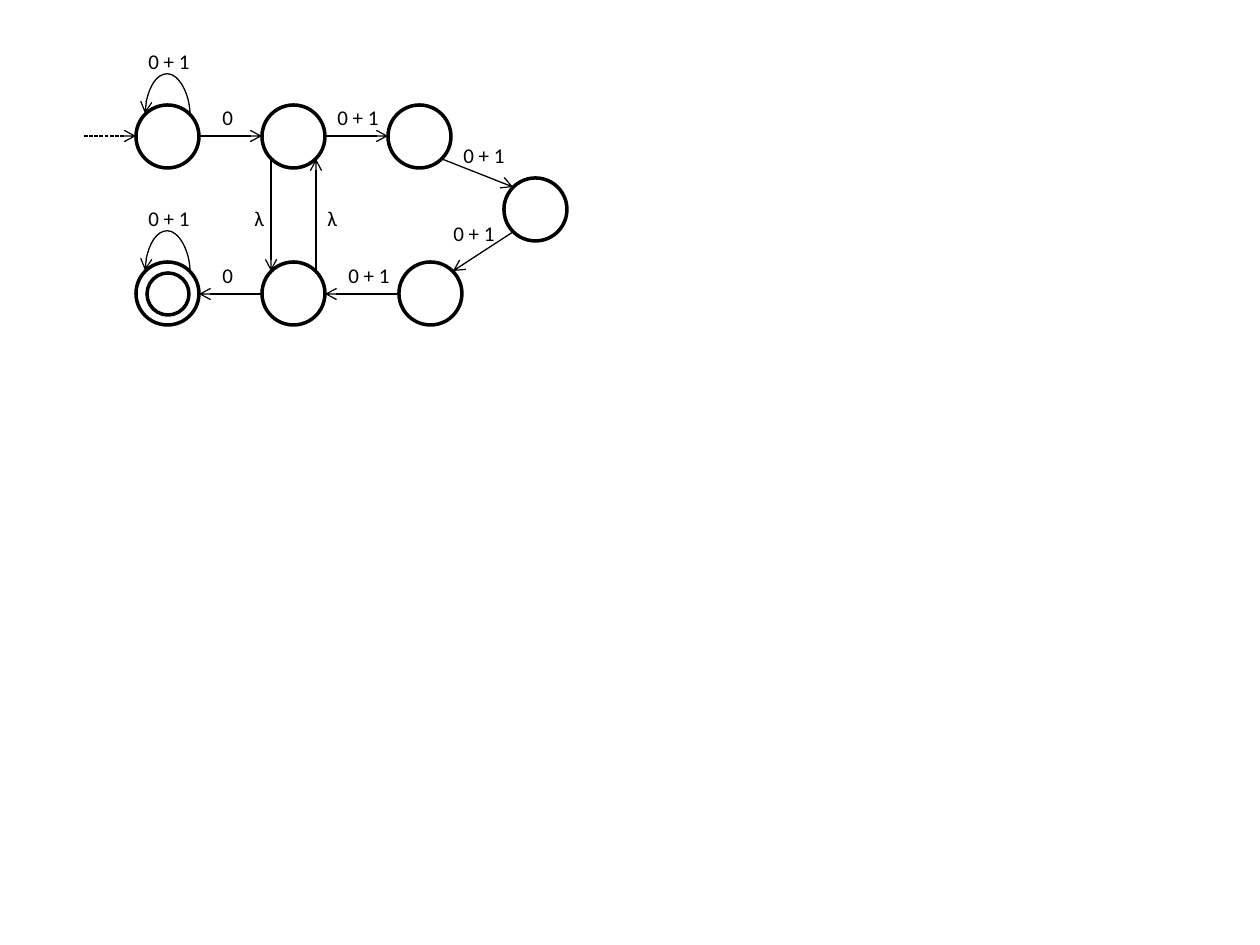
from math import hypot

from lxml import etree
from pptx import Presentation
from pptx.dml.color import RGBColor
from pptx.enum.dml import MSO_LINE
from pptx.enum.shapes import MSO_CONNECTOR as CONN, MSO_SHAPE as SHAPE
from pptx.oxml.ns import qn
from pptx.util import Emu, Pt

COLORS = {"ink": "000000"}
FONT = "Calibri"
STATE = 63
ACCEPT_INSET = 11
LOOP_RISE = 41

STATES = {
    "start": (52, 63), "top_mid": (178, 63), "top_right": (304, 63),
    "far_right": (420, 136), "low_right": (315, 220),
    "low_mid": (178, 220), "accept": (52, 220),
}
E, W, NE, NW, SE, SW = (1, 0), (-1, 0), (1, -1), (-1, -1), (1, 1), (-1, 1)
MOVES = [
    ("start", E, "top_mid", W), ("top_mid", E, "top_right", W),
    ("top_right", SE, "far_right", NW), ("far_right", SW, "low_right", NE),
    ("low_right", W, "low_mid", E), ("low_mid", W, "accept", E),
    ("top_mid", SW, "low_mid", NW), ("low_mid", NE, "top_mid", SE),
]
LABELS = [
    ("0 + 1", 52, 0, 73), ("0", 126, 56, 73), ("0 + 1", 241, 56, 73),
    ("0 + 1", 367, 94, 73), ("0 + 1", 357, 172, 73), ("0 + 1", 252, 214, 73),
    ("0", 126, 214, 31), ("0 + 1", 52, 157, 73),
    ("λ", 158, 157, 73), ("λ", 231, 157, 73),
]


def px(n):
    return Emu(round(n * 914400 / 126))


def ink():
    return RGBColor.from_string(COLORS["ink"])


def port(name, side):
    x, y = STATES[name]
    dx, dy = side
    reach = STATE / 2 / hypot(dx, dy)
    return round(x + STATE / 2 + dx * reach), round(y + STATE / 2 + dy * reach)


def add_ring(slide, x, y, size):
    sp = slide.shapes.add_shape(SHAPE.OVAL, px(x), px(y), px(size), px(size))
    sp.shadow.inherit = False
    sp.fill.background()
    sp.line.color.rgb = ink()
    sp.line.width = Pt(2)


def add_arrow(slide, kind, x1, y1, x2, y2):
    cn = slide.shapes.add_connector(kind, px(x1), px(y1), px(x2), px(y2))
    cn.line.color.rgb = ink()
    cn.line.width = Pt(0.75)
    etree.SubElement(cn.line._get_or_add_ln(), qn("a:tailEnd"), type="arrow")
    etree.SubElement(cn._element.spPr, qn("a:effectLst"))
    return cn


def add_loop(slide, left, top, name):
    x1, y = port(name, NE)
    x2, y = port(name, NW)
    cx, cy, half = left + (x1 + x2) / 2, top + y, (x1 - x2) / 2
    cn = add_arrow(slide, CONN.CURVE, cx - 0.5, cy + half, cx + 0.5, cy - half)
    spPr = cn._element.spPr
    spPr.find(qn("a:xfrm")).set("rot", "16200000")
    av = spPr.find(qn("a:prstGeom")).find(qn("a:avLst"))
    etree.SubElement(av, qn("a:gd"), name="adj1", fmla=f"val {LOOP_RISE * 100000}")


def add_label(slide, text, x, y, w):
    tf = slide.shapes.add_textbox(px(x), px(y), px(w), px(38)).text_frame
    tf.word_wrap = True
    r = tf.paragraphs[0].add_run()
    r.text = text
    r.font.name = FONT
    r.font.size = Pt(12)
    r.font.color.rgb = ink()


def add_automaton(slide, left, top):
    for x, y in STATES.values():
        add_ring(slide, left + x, top + y, STATE)
    x, y = STATES["accept"]
    add_ring(slide, left + x + ACCEPT_INSET, top + y + ACCEPT_INSET,
             STATE - 2 * ACCEPT_INSET + 1)

    x, y = port("start", W)
    entry = add_arrow(slide, CONN.STRAIGHT, left, top + y, left + x, top + y)
    entry.line.dash_style = MSO_LINE.SQUARE_DOT
    for source, out, target, into in MOVES:
        x1, y1 = port(source, out)
        x2, y2 = port(target, into)
        add_arrow(slide, CONN.STRAIGHT, left + x1, top + y1, left + x2, top + y2)
    for name in ("start", "accept"):
        add_loop(slide, left, top, name)
    for text, x, y, w in LABELS:
        add_label(slide, text, left + x, top + y, w)


prs = Presentation()
prs.slide_width, prs.slide_height = px(1260), px(945)
slide = prs.slides.add_slide(prs.slide_layouts[6])
add_automaton(slide, 84, 42)
prs.save("out.pptx")
